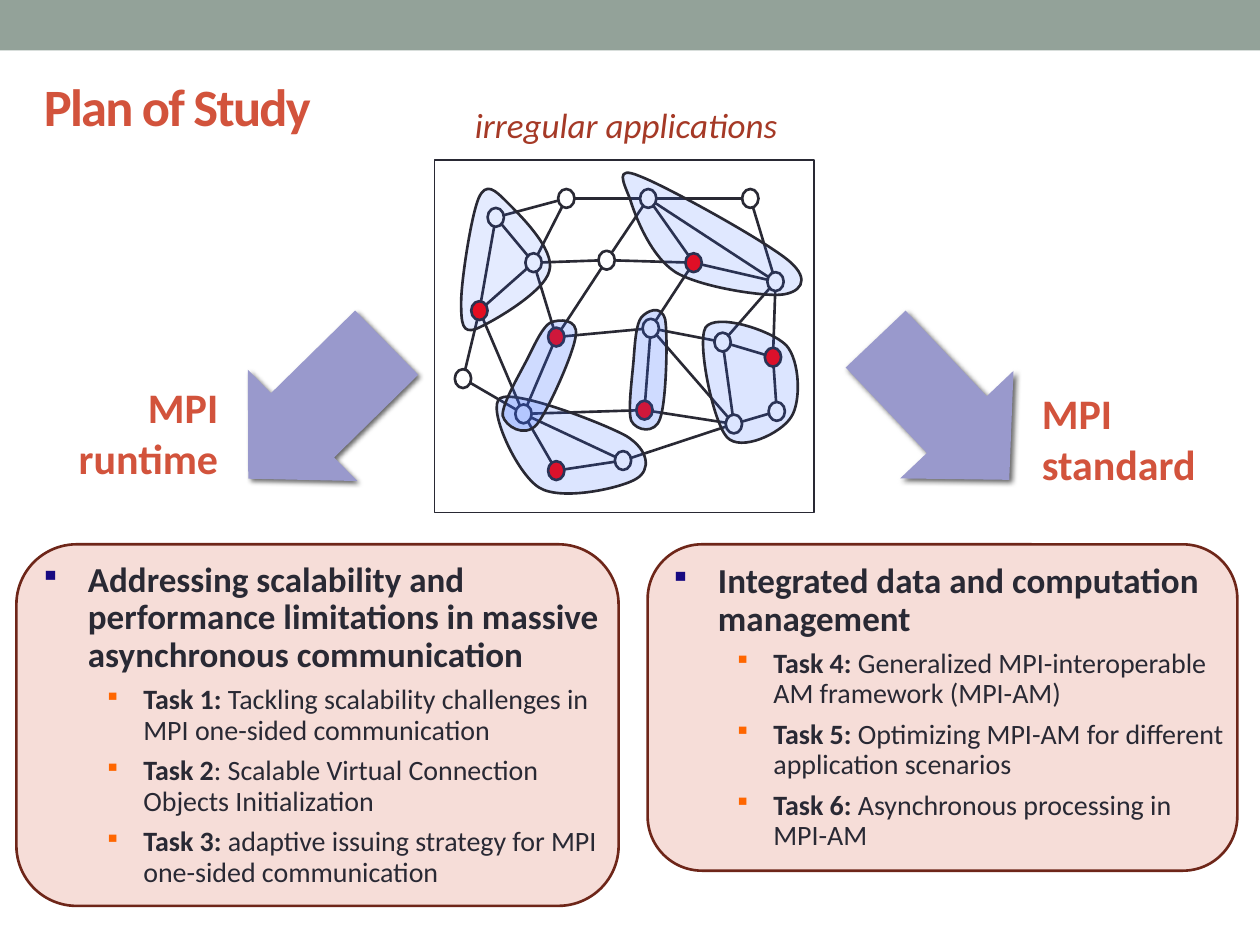
from math import atan2, cos, sin

from lxml import etree
from pptx import Presentation
from pptx.dml.color import RGBColor
from pptx.enum.shapes import MSO_CONNECTOR, MSO_SHAPE
from pptx.enum.text import MSO_ANCHOR, MSO_AUTO_SIZE, PP_ALIGN
from pptx.oxml.ns import qn
from pptx.util import Inches, Pt

COLORS = {
    "band": "93A299", "arrow": "9999CC", "accent": "D2533C", "caption": "A53926",
    "panel": "F6DDD8", "panel_line": "6E2619", "ink": "292934", "white": "FFFFFF",
    "marked": "FF0000", "region": "3366FF", "bullet": "170981",
    "task_bullet": "FF6600", "shadow": "000000",
}
FONT = "Calibri"
NODE_W, NODE_H = 0.13, 0.15
NODES = {
    "A": (4.17, 2.01), "B": (4.35, 2.6), "C": (5.1, 2.53), "D": (5.44, 2.01),
    "E": (4.75, 1.99), "F": (5.05, 3.18), "G": (5.67, 2.64), "H": (6.09, 2.16),
    "I": (4.09, 3.21), "J": (3.74, 2.39), "K": (5.76, 3.29), "L": (5.08, 1.5),
    "M": (4.88, 3.58), "N": (4.43, 1.5), "O": (6.07, 2.76), "P": (4.35, 3.66),
    "Q": (3.87, 1.65), "R": (6.1, 3.19), "S": (5.89, 1.5), "T": (3.61, 2.93),
}
MARKED = "BDFJOP"
EDGES = ("AE AB BE BC CD ED EL LD CG GH DH GK FK IB IF KC FC LH JI JA IM MK "
         "NA NL OH GO QN AQ JQ TJ IT PI PM RO KR HS LS").split()
REGIONS = [
    (15, [(5.08, 1.4), (4.87, 1.31), (4.95, 1.45), (5, 1.58), (5.04, 1.71),
          (5.16, 2.03), (5.36, 2.16), (5.56, 2.28), (6.04, 2.35), (6.19, 2.34),
          (6.34, 2.33), (6.45, 2.23), (6.26, 2.07), (6.07, 1.91), (5.29, 1.48),
          (5.08, 1.4)]),
    (17, [(6.28, 3.31), (6.2, 3.44), (5.88, 3.59), (5.77, 3.47), (5.66, 3.35),
          (5.53, 2.72), (5.6, 2.6), (5.68, 2.48), (6.12, 2.62), (6.24, 2.74),
          (6.35, 2.86), (6.36, 3.19), (6.28, 3.31)]),
    (17, [(5.05, 3.8), (4.94, 3.87), (4.46, 3.98), (4.28, 3.87), (4.1, 3.76),
          (3.86, 3.23), (3.97, 3.16), (4.09, 3.09), (4.79, 3.36), (4.97, 3.46),
          (5.15, 3.57), (5.17, 3.73), (5.05, 3.8)]),
    (23, [(5.09, 2.52), (5.05, 2.57), (5.04, 2.71), (5.03, 2.84), (5.02, 2.98),
          (4.98, 3.26), (5.01, 3.34), (5.05, 3.42), (5.2, 3.45), (5.24, 3.32),
          (5.29, 3.18), (5.3, 2.67), (5.28, 2.54), (5.25, 2.41), (5.13, 2.47),
          (5.09, 2.52)]),
    (23, [(4.37, 2.56), (4.31, 2.59), (4.25, 2.72), (4.19, 2.84), (4.13, 2.96),
          (3.98, 3.21), (3.99, 3.3), (4.01, 3.38), (4.16, 3.48), (4.26, 3.37),
          (4.35, 3.26), (4.56, 2.79), (4.57, 2.66), (4.59, 2.53), (4.44, 2.53),
          (4.37, 2.56)]),
    (13, [(3.8, 1.57), (3.74, 1.71), (3.66, 2.23), (3.66, 2.4), (3.66, 2.57),
          (3.67, 2.65), (3.78, 2.61), (3.9, 2.56), (4.32, 2.32), (4.36, 2.15),
          (4.41, 1.98), (4.12, 1.7), (4.02, 1.6), (3.93, 1.51), (3.86, 1.44),
          (3.8, 1.57)]),
]
RUNTIME = ("Addressing scalability and performance limitations in massive "
           "asynchronous communication", [
               ("Task 1: ", "Tackling scalability challenges in MPI one-sided communication"),
               ("Task 2", ": Scalable Virtual Connection Objects Initialization"),
               ("Task 3: ", "adaptive issuing strategy for MPI one-sided communication")])
STANDARD = ("Integrated data and computation management", [
    ("Task 4: ", "Generalized MPI-interoperable AM framework (MPI-AM)"),
    ("Task 5: ", "Optimizing MPI-AM for different application scenarios"),
    ("Task 6: ", "Asynchronous processing in MPI-AM")])


def rgb(name):
    return RGBColor.from_string(COLORS[name])


def paint(shape, fill=None, line=None, width=1.5):
    shape.shadow.inherit = False
    if fill:
        shape.fill.solid()
        shape.fill.fore_color.rgb = rgb(fill)
    else:
        shape.fill.background()
    if line:
        shape.line.color.rgb = rgb(line)
        shape.line.width = Pt(width)
    else:
        shape.line.fill.background()


def add_preset(slide, kind, box, **look):
    shape = slide.shapes.add_shape(kind, *map(Inches, box))
    paint(shape, **look)
    return shape


def add_alpha(color, percent):
    etree.SubElement(color, qn("a:alpha"), val=str(percent * 1000))


def add_arrow(slide, box, rotation, shaft):
    arrow = add_preset(slide, MSO_SHAPE.DOWN_ARROW, box, fill="arrow")
    arrow.rotation = rotation
    arrow.adjustments[0], arrow.adjustments[1] = shaft, 0.487
    effects = arrow._element.spPr.find(qn("a:effectLst"))
    shadow = etree.SubElement(effects, qn("a:outerShdw"), blurRad=str(Pt(3)),
                              dist=str(Pt(2)), dir=str(45 * 60000), rotWithShape="0")
    add_alpha(etree.SubElement(shadow, qn("a:srgbClr"), val=COLORS["shadow"]), 60)


def style(paragraph, size, color, bold=None, italic=None):
    font = paragraph.font
    font.name, font.size = FONT, Pt(size)
    font.bold, font.italic = bold, italic
    font.color.rgb = rgb(color)


def add_frame(slide, box):
    frame = slide.shapes.add_textbox(*map(Inches, box)).text_frame
    frame.word_wrap = True
    return frame


def add_label(slide, box, text, size, color, align=PP_ALIGN.LEFT, **look):
    frame = add_frame(slide, box)
    frame.auto_size = MSO_AUTO_SIZE.SHAPE_TO_FIT_TEXT
    frame.text = text
    label = frame.paragraphs[0]
    label.alignment = align
    style(label, size, color, **look)


def add_title(slide):
    frame = add_frame(slide, (0.25, 0.3, 9.63, 1.08))
    frame.vertical_anchor = MSO_ANCHOR.MIDDLE
    frame.text = "Plan of Study"
    title = frame.paragraphs[0]
    style(title, 30, "accent", bold=True)
    title.runs[0]._r.get_or_add_rPr().set("spc", "-100")


def add_bullet(paragraph, margin, indent, color):
    paragraph.line_spacing = 0.9
    props = paragraph._p.get_or_add_pPr()
    props.set("marL", str(Inches(margin)))
    props.set("indent", str(Inches(indent)))
    tint = etree.SubElement(props, qn("a:buClr"))
    etree.SubElement(tint, qn("a:srgbClr"), val=COLORS[color])
    etree.SubElement(props, qn("a:buSzPct"), val="80000")
    etree.SubElement(props, qn("a:buChar"), char="▪")


def add_panel(slide, panel_box, text_box, content):
    add_preset(slide, MSO_SHAPE.ROUNDED_RECTANGLE, panel_box,
               fill="panel", line="panel_line")
    heading, tasks = content
    frame = add_frame(slide, text_box)
    goal = frame.paragraphs[0]
    goal.text = heading
    add_bullet(goal, 0.6, -0.38, "bullet")
    style(goal, 20, "ink", bold=True)
    for name, description in tasks:
        task = frame.add_paragraph()
        task.level = 1
        task.space_before = Pt(6)
        add_bullet(task, 1.04, -0.31, "task_bullet")
        style(task, 16, "ink")
        for text, bold in ((name, True), (description, False)):
            run = task.add_run()
            run.text = text
            run.font.bold = bold


def add_edge(slide, start, end):
    (x1, y1), (x2, y2) = NODES[start], NODES[end]
    angle = atan2((y2 - y1) / NODE_H, (x2 - x1) / NODE_W)
    dx, dy = NODE_W / 2 * cos(angle), NODE_H / 2 * sin(angle)
    cx, cy = NODE_W / 2, NODE_H / 2
    ends = (x1 + cx + dx, y1 + cy + dy, x2 + cx - dx, y2 + cy - dy)
    edge = slide.shapes.add_connector(MSO_CONNECTOR.STRAIGHT, *map(Inches, ends))
    edge.line.color.rgb = rgb("ink")
    edge.line.width = Pt(1.5)
    etree.SubElement(edge._element.spPr, qn("a:effectLst"))


def bend(outline):
    segments = list(outline.iter(qn("a:lnTo")))
    for i in range(0, len(segments), 3):
        curve = etree.Element(qn("a:cubicBezTo"))
        segments[i].addprevious(curve)
        for segment in segments[i:i + 3]:
            curve.append(segment[0])
            segment.getparent().remove(segment)


def add_region(slide, opacity, knots):
    start, *rest = [(Inches(x), Inches(y)) for x, y in knots]
    builder = slide.shapes.build_freeform(*start)
    builder.add_line_segments(rest, close=True)
    region = builder.convert_to_shape()
    bend(region._element.spPr)
    paint(region, fill="region", line="ink")
    add_alpha(region._element.spPr.find(qn("a:solidFill"))[0], opacity)


def add_graph(slide):
    add_label(slide, (3.19, 0.77, 3.56, 0.44), "irregular applications", 20,
              "caption", PP_ALIGN.CENTER, italic=True)
    for start, end in EDGES:
        add_edge(slide, start, end)
    for name, corner in NODES.items():
        add_preset(slide, MSO_SHAPE.OVAL, (*corner, NODE_W, NODE_H),
                   fill="marked" if name in MARKED else "white", line="ink")
    for opacity, knots in REGIONS:
        add_region(slide, opacity, knots)
    add_preset(slide, MSO_SHAPE.RECTANGLE, (3.45, 1.27, 3.01, 2.8),
               line="ink", width=0.75)


def main():
    deck = Presentation()
    deck.slide_width, deck.slide_height = Inches(10), Inches(7.5)
    slide = deck.slides.add_slide(deck.slide_layouts[6])
    add_preset(slide, MSO_SHAPE.RECTANGLE, (0, 0, 10, 0.4), fill="band")
    add_arrow(slide, (1.9, 2.49, 1.24, 1.54), 45.5, 0.576)
    add_label(slide, (0.39, 2.98, 1.44, 0.91), "MPI runtime", 24, "accent",
              PP_ALIGN.RIGHT, bold=True)
    add_arrow(slide, (6.86, 2.48, 1.24, 1.54), 316.5, 0.528)
    add_label(slide, (8.17, 3.03, 1.83, 0.91), "MPI standard", 24, "accent", bold=True)
    add_panel(slide, (5.14, 4.32, 4.68, 2.59), (5, 4.42, 4.83, 2.5), STANDARD)
    add_panel(slide, (0.13, 4.32, 4.78, 2.87), (0, 4.41, 5, 3.09), RUNTIME)
    add_graph(slide)
    add_title(slide)
    deck.save("out.pptx")


if __name__ == "__main__":
    main()
